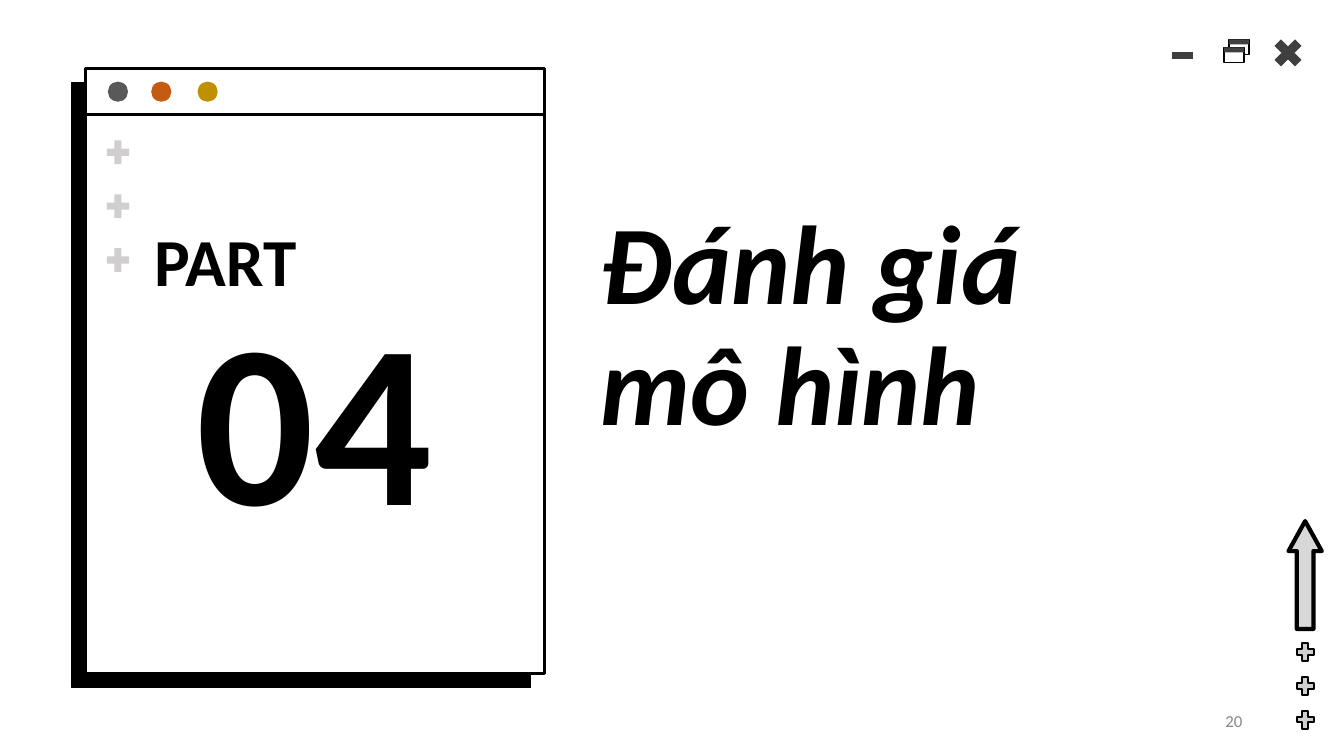
from dataclasses import dataclass

from lxml.etree import SubElement
from pptx import Presentation
from pptx.dml.color import RGBColor
from pptx.enum.shapes import MSO_CONNECTOR, MSO_SHAPE
from pptx.enum.text import MSO_ANCHOR, MSO_AUTO_SIZE, PP_ALIGN
from pptx.oxml.ns import qn
from pptx.util import Inches, Pt


@dataclass(frozen=True)
class Theme:
    font: str = "Calibri"
    ink: str = "000000"
    paper: str = "FFFFFF"
    icon: str = "3F3F3F"
    plus: str = "D0CECE"
    arrow: str = "D8D8D8"
    page_number: str = "888888"
    buttons: tuple = ("595959", "C55A11", "BF9000")
    label_size: int = 48
    number_size: int = 166
    title_size: int = 80
    page_number_size: int = 12
    frame_width: float = 2.25


@dataclass(frozen=True)
class Box:
    """A rectangle in inches."""
    left: float
    top: float
    width: float
    height: float

    def inside(self, left, top, width, height):
        """Return a box offset from this box's top left corner."""
        return Box(self.left + left, self.top + top, width, height)

    def lengths(self):
        return [Inches(n) for n in (self.left, self.top, self.width, self.height)]


THEME = Theme()
SYMBOL_THICKNESS = 0.235


def add_figure(page, kind, box, fill, line_width=0, adjustments=()):
    """Add a filled preset shape, outlined in ink when line_width is given."""
    shape = page.shapes.add_shape(kind, *box.lengths())
    shape.shadow.inherit = False
    for index, value in enumerate(adjustments):
        shape.adjustments[index] = value
    shape.fill.solid()
    shape.fill.fore_color.rgb = RGBColor.from_string(fill)
    if line_width:
        shape.line.color.rgb = RGBColor.from_string(THEME.ink)
        shape.line.width = Pt(line_width)
    else:
        shape.line.fill.background()
    return shape


def add_span(para, text, size, color, bold=False, italic=False):
    span = para.add_run()
    span.text = text
    span.font.name = THEME.font
    span.font.size = Pt(size)
    span.font.color.rgb = RGBColor.from_string(color)
    span.font.bold = bold
    span.font.italic = italic


def add_label(page, box, text, size, color, bold=False):
    frame = page.shapes.add_textbox(*box.lengths()).text_frame
    frame.word_wrap = True
    add_span(frame.paragraphs[0], text, size, color, bold)
    return frame


def add_plus_column(page, box, step, line_width=0):
    """Stack three plus signs downwards, the first one in the given box."""
    for row in range(3):
        add_figure(page, MSO_SHAPE.MATH_PLUS,
                   box.inside(0, row * step, box.width, box.height),
                   THEME.plus, line_width, [SYMBOL_THICKNESS])


def add_part_card(page, box, label, number):
    """Draw the window-like card with its hard shadow and part number."""
    add_figure(page, MSO_SHAPE.RECTANGLE,
               box.inside(-0.14, 0.14, box.width, box.height), THEME.ink, 1)
    add_figure(page, MSO_SHAPE.RECTANGLE, box, THEME.paper, THEME.frame_width)

    bar_bottom = Inches(box.top + 0.46)
    divider = page.shapes.add_connector(
        MSO_CONNECTOR.STRAIGHT, Inches(box.left), bar_bottom,
        Inches(box.left + box.width), bar_bottom)
    divider.line.color.rgb = RGBColor.from_string(THEME.ink)
    divider.line.width = Pt(THEME.frame_width)
    SubElement(divider._element.spPr, qn("a:effectLst"))

    for left, color in zip((0.22, 0.65, 1.11), THEME.buttons):
        add_figure(page, MSO_SHAPE.OVAL, box.inside(left, 0.13, 0.2, 0.2), color)
    add_plus_column(page, box.inside(0.17, 0.67, 0.3, 0.32), 0.535)

    for text, size, place in (
            (label, THEME.label_size, box.inside(0.58, 1.45, 1.64, 0.91)),
            (number, THEME.number_size, box.inside(1, 1.98, 2.56, 2.89))):
        frame = add_label(page, place, text, size, THEME.ink, bold=True)
        frame.auto_size = MSO_AUTO_SIZE.SHAPE_TO_FIT_TEXT


def set_title(page, box, text):
    title = page.shapes.title
    title.left, title.top, title.width, title.height = box.lengths()
    frame = title.text_frame
    frame.word_wrap = True
    frame.auto_size = MSO_AUTO_SIZE.NONE
    frame.vertical_anchor = MSO_ANCHOR.TOP
    frame.margin_left = frame.margin_right = Inches(0.13)
    frame.margin_top = frame.margin_bottom = Inches(0.13)
    para = frame.paragraphs[0]
    para.alignment = PP_ALIGN.LEFT
    para.line_spacing = 0.9
    add_span(para, text, THEME.title_size, THEME.ink, bold=True, italic=True)


def add_window_controls(page, box):
    """Draw the minimise, restore and close icons."""
    add_figure(page, MSO_SHAPE.MATH_MINUS, box.inside(0, 0.06, 0.28, 0.32),
               THEME.icon, adjustments=[SYMBOL_THICKNESS])
    for left, top in ((0.6, 0.06), (0.55, 0.14)):
        add_figure(page, MSO_SHAPE.RECTANGLE, box.inside(left, top, 0.2, 0.15),
                   THEME.paper, 1)
        add_figure(page, MSO_SHAPE.RECTANGLE, box.inside(left, top, 0.2, 0.05),
                   THEME.icon)
    add_figure(page, MSO_SHAPE.MATH_MULTIPLY, box.inside(0.99, 0, 0.39, 0.39),
               THEME.icon, adjustments=[SYMBOL_THICKNESS])


def add_corner_arrow(page, box):
    """Draw the up arrow with its trail of plus signs."""
    add_figure(page, MSO_SHAPE.UP_ARROW, box.inside(0, 0, box.width, 1.07),
               THEME.arrow, 3, [0.5, 0.903])
    add_plus_column(page, box.inside(0.05, 1.18, 0.23, 0.24), 0.335, 1.5)


def add_page_number(page, box, number):
    frame = add_label(page, box, number, THEME.page_number_size, THEME.page_number)
    frame.vertical_anchor = MSO_ANCHOR.MIDDLE
    frame.paragraphs[0].alignment = PP_ALIGN.RIGHT


def add_section_page(deck):
    title_only = deck.slide_layouts[5]
    page = deck.slides.add_slide(title_only)
    page.background.fill.solid()
    page.background.fill.fore_color.rgb = RGBColor.from_string(THEME.paper)
    add_part_card(page, Box(0.85, 0.68, 4.55, 6), "PART", "04")
    set_title(page, Box(5.83, 1.93, 5.78, 1.66), "Đánh giá mô hình")
    add_window_controls(page, Box(11.59, 0.33, 1.38, 0.39))
    add_corner_arrow(page, Box(12.78, 5.17, 0.33, 2.09))
    add_page_number(page, Box(9.42, 6.95, 3, 0.4), "20")


def main():
    deck = Presentation()
    deck.slide_width = Inches(13.33)
    deck.slide_height = Inches(7.5)
    add_section_page(deck)
    deck.save("out.pptx")


if __name__ == "__main__":
    main()
